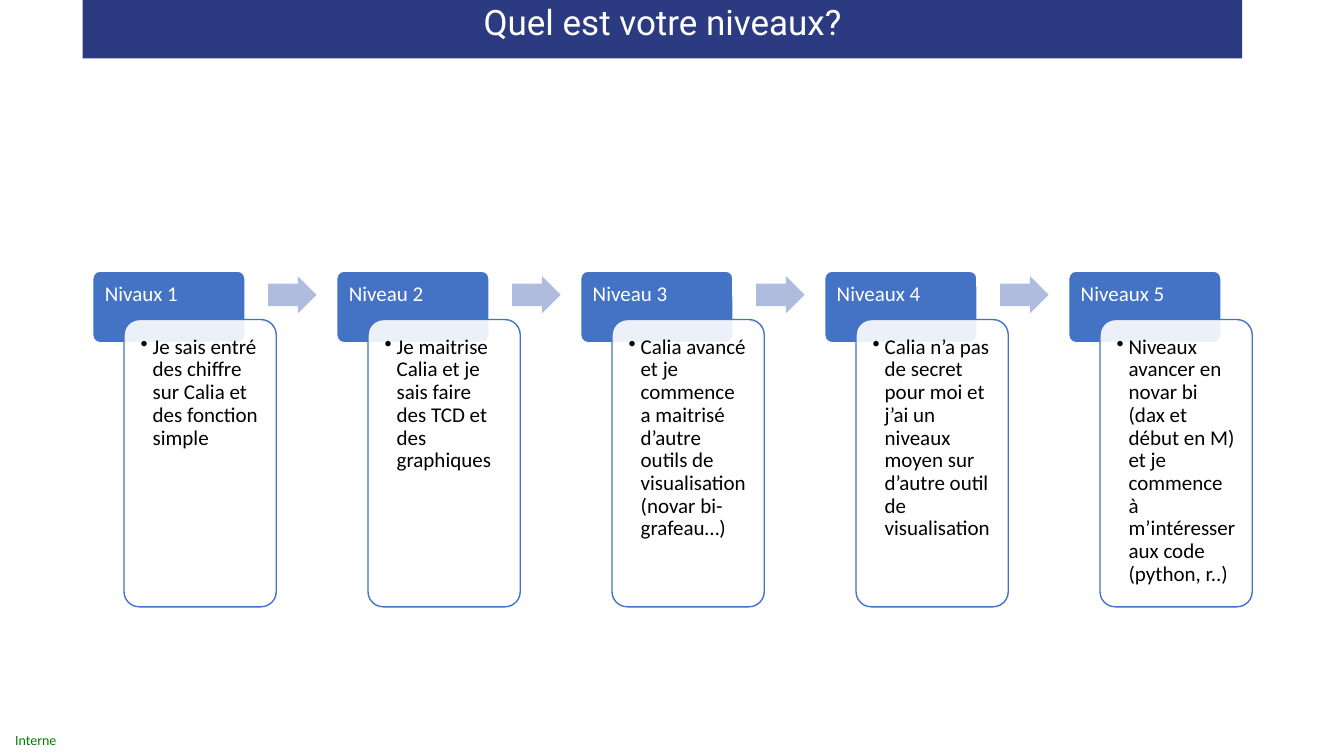
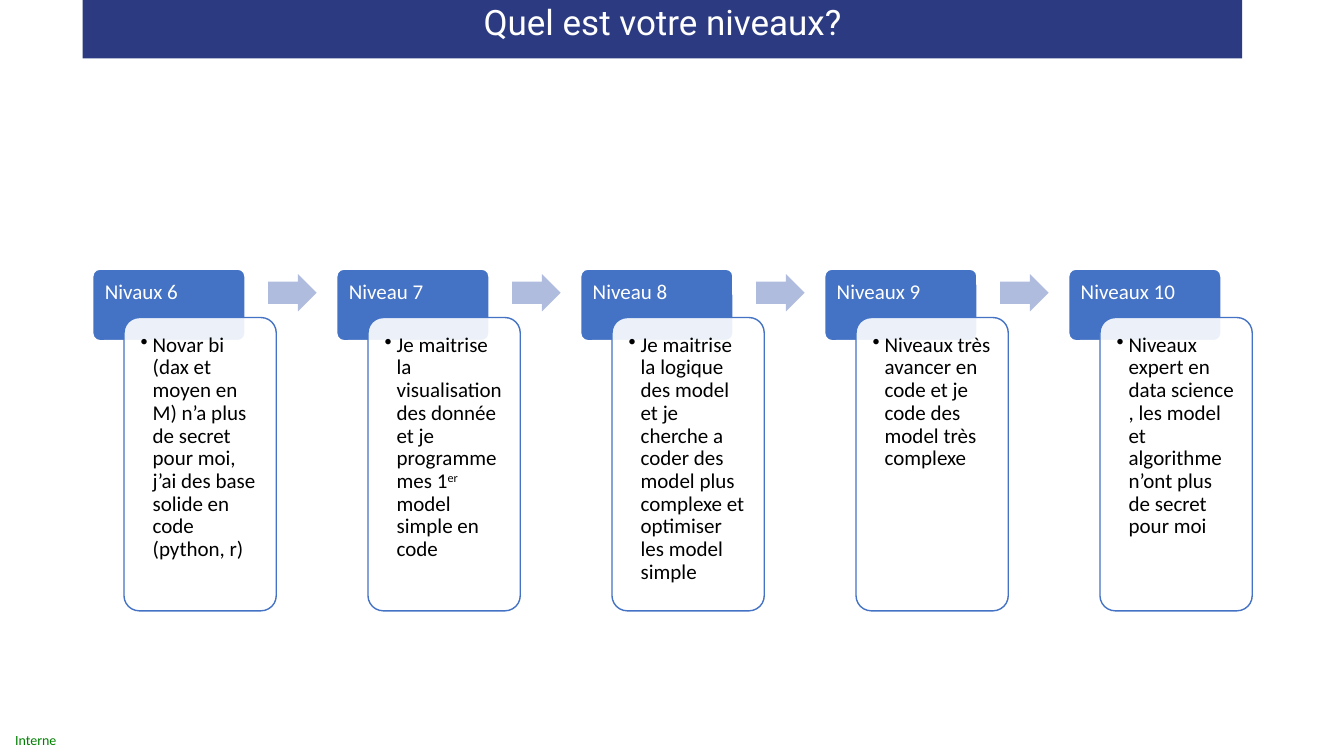
"""Build two slides that rank data skills in ten levels."""
from dataclasses import dataclass
from typing import Any, NamedTuple

from lxml.etree import SubElement as Sub
from pptx import Presentation
from pptx.dml.color import RGBColor as Rgb
from pptx.enum.shapes import MSO_SHAPE as Form
from pptx.enum.text import MSO_ANCHOR as Anchor, MSO_AUTO_SIZE as Fit, PP_ALIGN as Align
from pptx.oxml.ns import qn
from pptx.util import Emu, Pt

SCALE = 9144


class Box(NamedTuple):
    left: int
    top: int
    width: int
    height: int


@dataclass(frozen=True)
class Theme:
    band: str = "2C3B81"
    head: str = "4472C4"
    arrow: str = "B0BCDE"
    paper: str = "FFFFFF"
    ink: str = "000000"
    green: str = "008000"
    face: str = "Calibri"
    title_face: str = "Roboto"
    title_size: int = 25
    text_size: int = 15
    foot_size: int = 10


@dataclass(frozen=True)
class Level:
    name: str
    text: str


@dataclass(frozen=True)
class Page:
    top: int
    depth: int
    levels: tuple[Level, ...]


THEME = Theme()
TITLE = "Quel est votre niveaux?"
LEFT, PITCH, WIDTH = 92, 242, 151
PAGES = (
    Page(269, 285, (
        Level("Nivaux 1", "Je sais entré des chiffre sur Calia et des fonction simple"),
        Level("Niveau 2", "Je maitrise Calia et je sais faire des TCD et des graphiques"),
        Level("Niveau 3", "Calia avancé et je commence a maitrisé d’autre outils de "
              "visualisation (novar bi-grafeau…)"),
        Level("Niveaux 4", "Calia n’a pas de secret pour moi et j’ai un niveaux moyen sur "
              "d’autre outil de visualisation"),
        Level("Niveaux 5", "Niveaux avancer en novar bi (dax et début en M) et je commence "
              "à m’intéresser aux code (python, r..)"),
    )),
    Page(267, 291, (
        Level("Nivaux 6", "Novar bi (dax et moyen en M) n’a plus de secret pour moi, "
              "j’ai des base solide en code (python, r)"),
        Level("Niveau 7", "Je maitrise la visualisation des donnée et je programme mes "
              "1^er^ model simple en code"),
        Level("Niveau 8", "Je maitrise la logique des model et je cherche a coder des "
              "model plus complexe et optimiser les model simple"),
        Level("Niveaux 9", "Niveaux très avancer en code et je code des model très complexe"),
        Level("Niveaux 10", "Niveaux expert en data science , les model et algorithme "
              "n’ont plus de secret pour moi"),
    )),
)


def px(size: int) -> Emu:
    """Turn px into EMU."""
    return Emu(size * SCALE)


def style(item: Any, form: dict[str, Any]) -> None:
    """Set each format value on an item."""
    for key, value in form.items():
        setattr(item, key, value)


def write(shape: Any, text: str, color: str, size: int, face: str = THEME.face,
          pad: tuple[int, int, int, int] = (10, 5, 10, 5), align: Align = Align.LEFT,
          anchor: Anchor = Anchor.TOP, bullet: bool = False) -> None:
    """Fill a shape with one paragraph; carets enclose raised text."""
    frame = shape.text_frame
    sides = ("margin_left", "margin_top", "margin_right", "margin_bottom")
    style(frame, {"word_wrap": True, "auto_size": Fit.NONE, "vertical_anchor": anchor}
          | {side: px(gap) for side, gap in zip(sides, pad)})
    para = frame.paragraphs[0]
    if bullet:
        props = shape.element.find(".//" + qn("a:p")).get_or_add_pPr()
        props.set("marL", str(px(12)))
        props.set("indent", str(px(-12)))
        Sub(props, qn("a:buChar"), char="•")
    style(para, {"alignment": align, "line_spacing": 0.9})
    for part in text.split("^"):
        run = para.add_run()
        run.text = part
        style(run.font, {"name": face, "size": Pt(size)})
        run.font.color.rgb = Rgb.from_string(color)
    for props in list(shape.element.iter(qn("a:rPr")))[1::2]:
        props.set("baseline", "30000")


def draw(slide: Any, form: Form, box: Box, fill: str, line: str | None = None,
         bends: tuple[float, ...] = (), alpha: int = 100) -> Any:
    """Add a flat preset shape."""
    shape = slide.shapes.add_shape(form, *map(px, box))
    shape.shadow.inherit = False
    shape.fill.solid()
    shape.fill.fore_color.rgb = Rgb.from_string(fill)
    if alpha < 100:
        tint = shape.element.spPr.find(qn("a:solidFill")).find(qn("a:srgbClr"))
        Sub(tint, qn("a:alpha"), val=str(alpha * 1000))
    if line:
        shape.line.color.rgb = Rgb.from_string(line)
        shape.line.width = Pt(1)
    else:
        shape.line.fill.background()
    for spot, bend in enumerate(bends):
        shape.adjustments[spot] = bend
    return shape


def frame_slide(deck: Any) -> Any:
    """Add a slide with the shared band, title and footer."""
    slide = deck.slides.add_slide(deck.slide_layouts[5])
    title = slide.shapes.title
    band = draw(slide, Form.RECTANGLE, Box(82, -31, 1150, 89), THEME.band)
    title.element.addprevious(band.element)
    style(title, dict(zip(Box._fields, map(px, Box(82, 0, 1150, 58)))))
    write(title, TITLE, THEME.paper, THEME.title_size, THEME.title_face, align=Align.CENTER)
    foot = slide.shapes.add_textbox(*map(px, Box(0, 721, 71, 29)))
    write(foot, "Interne", THEME.green, THEME.foot_size, pad=(15, 0, 0, 0),
          anchor=Anchor.MIDDLE)
    return slide


def draw_level(slide: Any, level: Level, left: int, page: Page, last: bool) -> None:
    """Draw a level head, its card and the arrow to the next."""
    head = draw(slide, Form.ROUNDED_RECTANGLE, Box(left, page.top, WIDTH, 71),
                THEME.head, THEME.paper, (0.1,))
    write(head, level.name, THEME.paper, THEME.text_size, pad=(10, 10, 10, 6))
    card = draw(slide, Form.ROUNDED_RECTANGLE,
                Box(left + 31, page.top + 48, WIDTH, page.depth),
                THEME.paper, THEME.head, (0.1,), alpha=90)
    write(card, level.text, THEME.ink, THEME.text_size, pad=(12, 12, 12, 12), bullet=True)
    if not last:
        draw(slide, Form.RIGHT_ARROW, Box(left + 174, page.top + 5, 48, 37),
             THEME.arrow, bends=(0.6, 0.5))


def main() -> None:
    """Build and save the deck."""
    deck = Presentation()
    style(deck, {"slide_width": px(1333), "slide_height": px(750)})
    for page in PAGES:
        slide = frame_slide(deck)
        for rank, level in enumerate(page.levels):
            draw_level(slide, level, LEFT + rank * PITCH, page,
                       rank == len(page.levels) - 1)
    deck.save("out.pptx")


if __name__ == "__main__":
    main()
